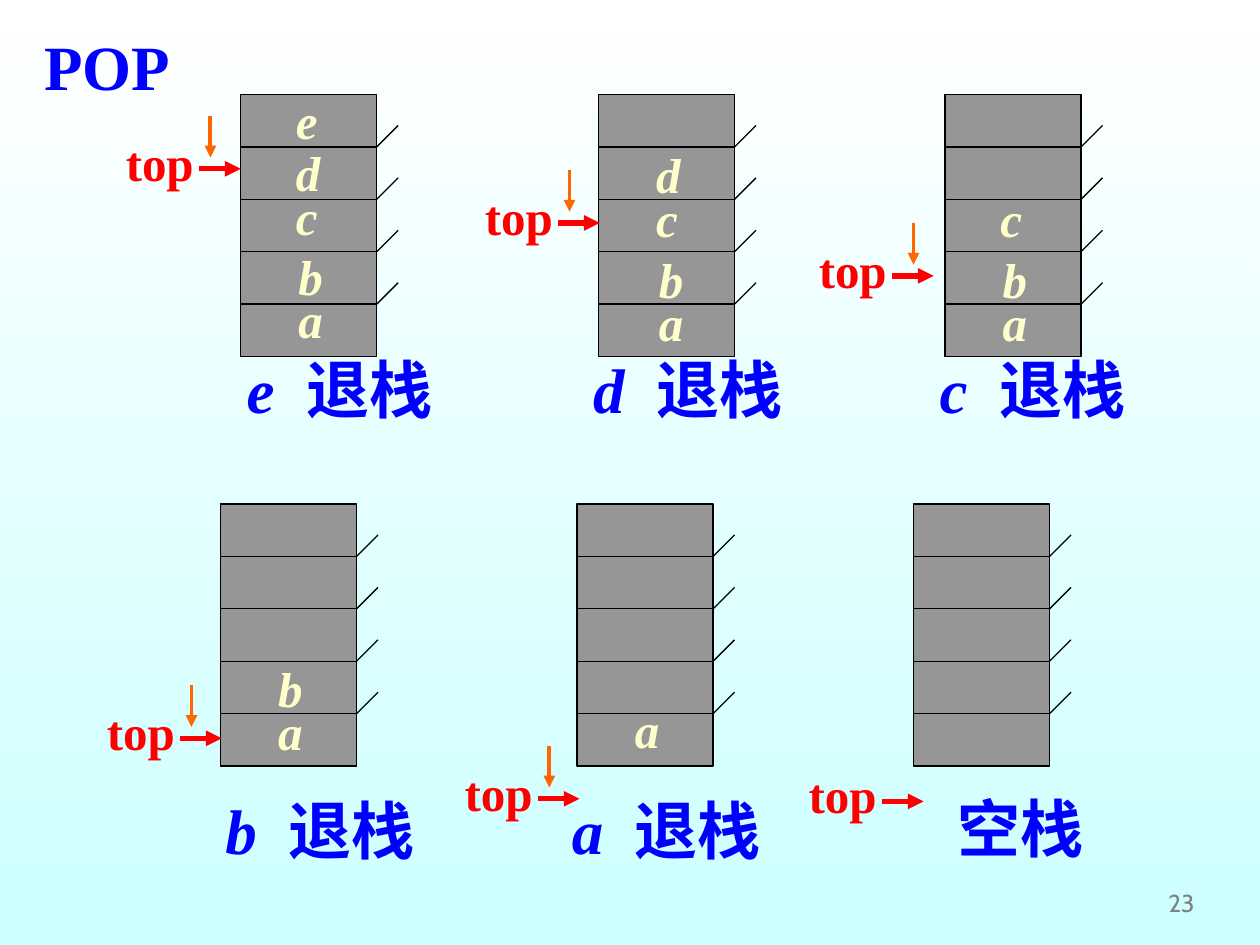
from dataclasses import dataclass

from pptx import Presentation
from pptx.dml.color import RGBColor
from pptx.enum import shapes, text
from pptx.oxml.ns import qn
from pptx.util import Inches, Pt
from lxml import etree

BLUE = RGBColor(0x00, 0x00, 0xFF)
RED = RGBColor(0xFF, 0x00, 0x00)
ORANGE = RGBColor(0xFF, 0x66, 0x00)
CREAM = RGBColor(0xFF, 0xFF, 0xCC)
GRAY = RGBColor(0x96, 0x96, 0x96)
PAGE_GRAY = RGBColor(0x80, 0x80, 0x80)
BLACK = RGBColor(0x00, 0x00, 0x00)
WHITE = RGBColor(0xFF, 0xFF, 0xFF)
AQUA = RGBColor(0xCC, 0xFF, 0xFF)

SERIF = "Times New Roman"
STACK_W, STACK_H, CELLS = 1.08, 2.08, 5
TICK = 0.17
# Offset of each element's label from the stack's top left corner
ELEMENT_OFFSETS = {
    "a": (0.36, 1.52),
    "b": (0.36, 1.18),
    "c": (0.34, 0.70),
    "d": (0.34, 0.35),
    "e": (0.34, -0.06),
}


@dataclass
class Stack:
    left: float
    top: float
    elements: str
    pointer: tuple[float, float]
    caption_at: tuple[float, float]
    popped: str = ""
    nudge: tuple[float, float] = (0, 0)
    step_x: float = 0.77  # of the moving-down arrow, from the pointer's left


STACKS = [
    Stack(1.91, 0.75, "abcde", (0.90, 1.00), (1.86, 2.73), "e", nudge=(0, -0.02)),
    Stack(4.75, 0.75, "abcd", (3.75, 1.43), (4.61, 2.73), "d", nudge=(0.02, 0)),
    Stack(7.50, 0.75, "abc", (6.40, 1.85), (7.36, 2.73), "c", step_x=0.85),
    Stack(1.75, 4.00, "ab", (0.75, 5.52), (1.69, 6.23), "b"),
    Stack(4.58, 4.00, "a", (3.59, 6.00), (4.44, 6.23), "a", nudge=(0, -0.02)),
    Stack(7.25, 4.00, "", (6.32, 6.02), (7.50, 6.22)),
]


def write(frame, words: str, *, size: float, color: RGBColor, font: str = SERIF,
          bold: bool = True, italic: bool = False, spacing: float = 0,
          align=text.PP_ALIGN.LEFT, anchor=text.MSO_ANCHOR.TOP, wrap: bool = False) -> None:
    """Append a run to the frame's first paragraph."""
    frame.word_wrap = wrap
    frame.auto_size = text.MSO_AUTO_SIZE.NONE
    frame.vertical_anchor = anchor
    paragraph = frame.paragraphs[0]
    paragraph.alignment = align
    run = paragraph.add_run()
    run.text = words
    run.font.size, run.font.name = Pt(size), font
    run.font.bold, run.font.italic = bold, italic
    run.font.color.rgb = color
    if spacing:
        run.font._element.set("spc", str(round(spacing * 100)))


def add_frame(slide, left: float, top: float, width: float, height: float):
    return slide.shapes.add_textbox(
        Inches(left), Inches(top), Inches(width), Inches(height)).text_frame


def draw_line(slide, start: tuple[float, float], end: tuple[float, float],
              color: RGBColor = BLACK, width: float = 0.75, arrow: bool = False) -> None:
    line = slide.shapes.add_connector(
        shapes.MSO_CONNECTOR.STRAIGHT, *(Inches(v) for v in (*start, *end)))
    line.line.color.rgb = color
    line.line.width = Pt(width)
    properties = line._element.spPr
    if arrow:
        etree.SubElement(properties.find(qn("a:ln")), qn("a:tailEnd"), type="triangle")
    etree.SubElement(properties, qn("a:effectLst"))


def draw_cells(slide, stack: Stack) -> None:
    body = slide.shapes.add_shape(
        shapes.MSO_SHAPE.RECTANGLE, Inches(stack.left), Inches(stack.top),
        Inches(STACK_W), Inches(STACK_H))
    body.shadow.inherit = False
    body.fill.solid()
    body.fill.fore_color.rgb = GRAY
    body.line.color.rgb = BLACK
    body.line.width = Pt(0.75)
    right = stack.left + STACK_W
    for row in range(1, CELLS):
        y = stack.top + row * STACK_H / CELLS
        draw_line(slide, (stack.left, y), (right, y))
        draw_line(slide, (right, y), (right + TICK, y - TICK))
    for element in stack.elements:
        dx, dy = (o + n for o, n in zip(ELEMENT_OFFSETS[element], stack.nudge))
        write(add_frame(slide, stack.left + dx, stack.top + dy, 0.39, 0.57),
              element, size=28, color=CREAM, italic=True)


def draw_pointer(slide, stack: Stack) -> None:
    x, y = stack.pointer
    write(add_frame(slide, x, y, 0.74, 0.57), "top", size=28, color=RED)
    draw_line(slide, (x + 0.68, y + 0.34), (x + 1.01, y + 0.34), RED, 3, arrow=True)
    if stack.popped:
        step = x + stack.step_x
        draw_line(slide, (step, y - 0.08), (step, y + 0.25), ORANGE, 2.25, arrow=True)


def draw_caption(slide, stack: Stack) -> None:
    caption = add_frame(slide, *stack.caption_at, 1.68 if stack.popped else 1.2, 0.7)
    if stack.popped:
        write(caption, f"{stack.popped} ", size=36, color=BLUE, italic=True, spacing=4.5)
    write(caption, "退栈" if stack.popped else "空栈", size=36, color=BLUE)


def main() -> None:
    deck = Presentation()
    deck.slide_width, deck.slide_height = Inches(10), Inches(7.5)
    slide = deck.slides.add_slide(deck.slide_layouts[5])

    backdrop = slide.background.fill
    backdrop.gradient()
    backdrop.gradient_angle = 270
    for stop, color, position in zip(backdrop.gradient_stops, (WHITE, AQUA), (0, 1)):
        stop.color.rgb = color
        stop.position = position

    title = slide.shapes.title
    title.left, title.top = Inches(0.25), Inches(0.17)
    title.width, title.height = Inches(1.2), Inches(0.7)
    write(title.text_frame, "POP", size=36, color=BLUE)

    for stack in STACKS:
        draw_cells(slide, stack)
        draw_pointer(slide, stack)
        draw_caption(slide, stack)

    write(add_frame(slide, 7.5, 6.83, 2.08, 0.5), "23", size=14, color=PAGE_GRAY,
          font="Cabin", bold=False, align=text.PP_ALIGN.RIGHT,
          anchor=text.MSO_ANCHOR.BOTTOM, wrap=True)
    deck.save("out.pptx")


if __name__ == "__main__":
    main()
